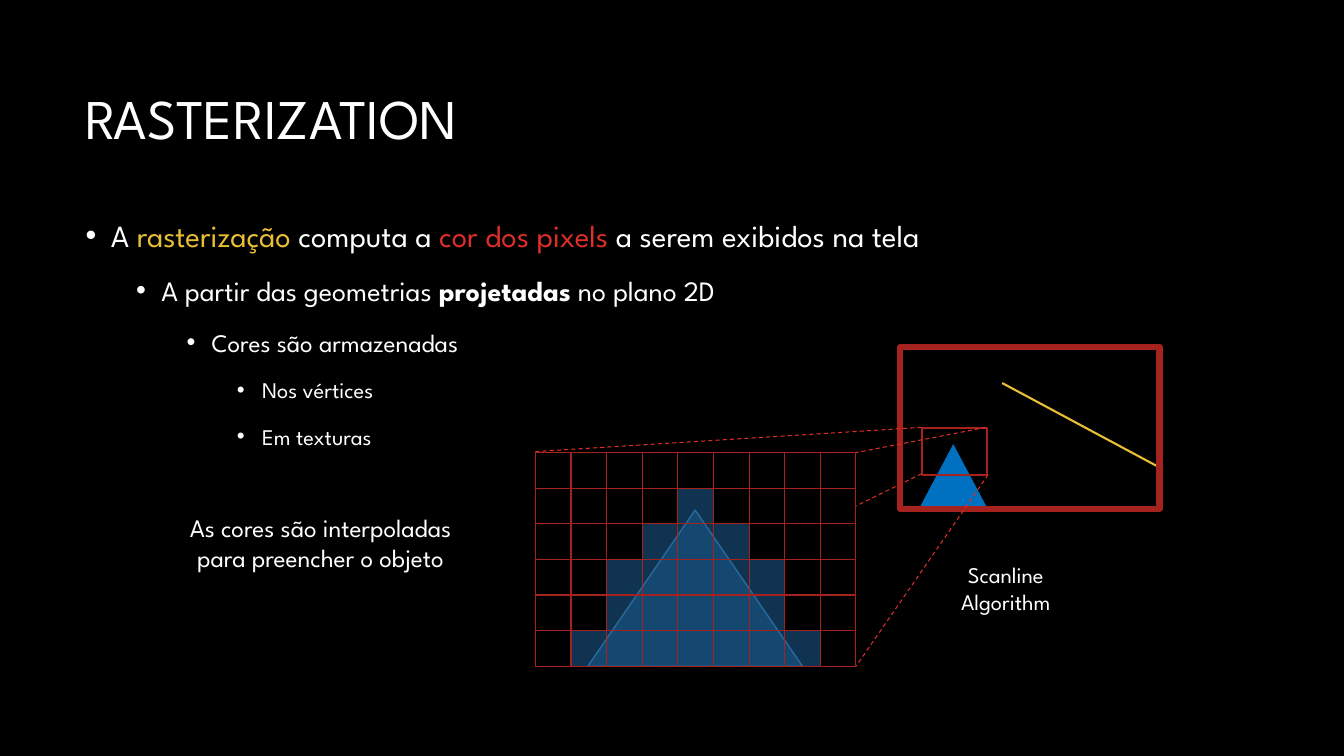
"""Build the slide on rasterization with its pixel grid and scene diagram."""
from lxml import etree
from pptx import Presentation
from pptx.dml.color import RGBColor
from pptx.enum.dml import MSO_LINE
from pptx.enum.shapes import MSO_CONNECTOR, MSO_SHAPE
from pptx.enum.text import MSO_ANCHOR, PP_ALIGN
from pptx.oxml.ns import qn
from pptx.util import Inches, Pt

RECTANGLE = MSO_SHAPE.RECTANGLE
TRIANGLE = MSO_SHAPE.ISOSCELES_TRIANGLE
STRAIGHT = MSO_CONNECTOR.STRAIGHT
DASH = MSO_LINE.DASH
MIDDLE = MSO_ANCHOR.MIDDLE
LEFT, CENTER = PP_ALIGN.LEFT, PP_ALIGN.CENTER
FONT = "League Spartan"
COLORS = {
    name: RGBColor.from_string(value)
    for name, value in {
        "black": "000000",
        "white": "FFFFFF",
        "yellow": "E9BF35",
        "red": "DF2E28",
        "dark red": "A5221E",
        "blue": "0070C0",
        "triangle": "2476B9",
        "triangle edge": "4A9BDC",
        "covered pixel": "184F7B",
    }.items()
}

presentation = Presentation()
presentation.slide_width = Inches(13.33)
presentation.slide_height = Inches(7.5)
slide = presentation.slides.add_slide(presentation.slide_layouts[1])
slide.background.fill.solid()
slide.background.fill.fore_color.rgb = COLORS["black"]


def add_figure(kind, box, fill, line, width, opacity=100):
    """Add a preset shape, filled unless fill is None."""
    shape = slide.shapes.add_shape(kind, *map(Inches, box))
    shape.shadow.inherit = False
    shape.line.color.rgb = COLORS[line]
    shape.line.width = Pt(width)
    if fill is None:
        shape.fill.background()
        return
    shape.fill.solid()
    shape.fill.fore_color.rgb = COLORS[fill]
    if opacity < 100:
        color = shape.fill._xPr.find(qn("a:solidFill"))[0]
        etree.SubElement(color, qn("a:alpha"), val=str(opacity * 1000))


def add_line(start, end, color, width, dash=None):
    """Add a straight line without a shadow."""
    connector = slide.shapes.add_connector(STRAIGHT, *map(Inches, start + end))
    connector.line.color.rgb = COLORS[color]
    connector.line.width = Pt(width)
    connector.line.dash_style = dash
    etree.SubElement(connector._element.spPr, qn("a:effectLst"))


title = slide.shapes.title
title.left, title.top = Inches(0.75), Inches(0.5)
title.width, title.height = Inches(11.83), Inches(1.41)
title.text_frame.text = "RASTERIZATION"
title.text_frame.vertical_anchor = MIDDLE
paragraph = title.text_frame.paragraphs[0]
paragraph.alignment = LEFT
paragraph.line_spacing = 0.9
paragraph.font.size = Pt(40)
paragraph.font.name = FONT
paragraph.font.color.rgb = COLORS["white"]

body = slide.placeholders[1]
body.left, body.top = Inches(0.75), Inches(2.06)
body.width, body.height = Inches(11.83), Inches(4.69)
bullets = [
    (0, 22, [("A ", "white", False), ("rasterização", "yellow", False),
             (" computa a ", "white", False), ("cor dos pixels ", "red", False),
             ("a serem exibidos na tela", "white", False)]),
    (1, 20, [("A partir das geometrias ", "white", False),
             ("projetadas", "white", True), (" no plano 2D", "white", False)]),
    (2, 18, [("Cores são armazenadas", "white", False)]),
    (3, 16, [("Nos vértices", "white", False)]),
    (3, 16, [("Em texturas", "white", False)]),
]
for index, (level, size, pieces) in enumerate(bullets):
    frame = body.text_frame
    paragraph = frame.add_paragraph() if index else frame.paragraphs[0]
    paragraph.level = level
    paragraph.line_spacing = 1.1
    paragraph.space_before = Pt(12 if index else 0)
    properties = paragraph._p.get_or_add_pPr()
    properties.set("marL", str(Inches(0.25 + 0.5 * level)))
    properties.set("indent", str(Inches(-0.25)))
    etree.SubElement(properties, qn("a:buFont"), typeface="Arial")
    etree.SubElement(properties, qn("a:buChar"), char="•")
    paragraph.font.size = Pt(size)
    for text, color, bold in pieces:
        run = paragraph.add_run()
        run.text = text
        run.font.name = FONT
        run.font.size = Pt(size)
        run.font.bold = bold
        run.font.color.rgb = COLORS[color]

add_line((9.14, 4.7), (8.49, 5.02), "red", 0.75, DASH)
add_figure(TRIANGLE, (5.83, 5.06, 2.13, 1.55), "triangle", "triangle edge", 1, 50)
add_figure(TRIANGLE, (8.93, 4.38, 1.05, 0.99), "blue", "black", 1.5)
add_line((9.94, 3.8), (12.12, 4.97), "yellow", 1.5)
for mask in [(11.49, 3.44, 1.01, 1.62), (8.8, 5.06, 1.34, 0.49)]:
    add_figure(RECTANGLE, mask, "black", "black", 1)
add_figure(RECTANGLE, (8.93, 3.44, 2.57, 1.61), None, "dark red", 4.5)
add_figure(RECTANGLE, (9.14, 4.25, 0.65, 0.46), None, "dark red", 1.5)
for zoom_start, zoom_end in [
    ((9.14, 4.24), (5.31, 4.48)),
    ((9.78, 4.24), (8.49, 4.49)),
    ((9.8, 4.71), (8.49, 6.61)),
]:
    add_line(zoom_start, zoom_end, "red", 0.75, DASH)

columns = 9
cell = 3.18 / columns
covered_reach = [-1, 0, 1, 2, 2, 3]
for row, reach in enumerate(covered_reach):
    for column in range(columns):
        covered = abs(column - columns // 2) <= reach
        fill, opacity = ("covered pixel", 65) if covered else ("black", 75)
        box = (5.31 + column * cell, 4.49 + row * cell, cell, cell)
        add_figure(RECTANGLE, box, fill, "dark red", 0.75, opacity)

captions = [
    ("As cores são interpoladas para preencher o objeto",
     (1.78, 5.03, 2.8, 1.01), 18, True),
    ("Scanline\nAlgorithm", (9.35, 5.52, 1.25, 0.64), 16, False),
]
for text, box, size, wrap in captions:
    caption = slide.shapes.add_textbox(*map(Inches, box))
    caption.text_frame.word_wrap = wrap
    caption.text_frame.text = text
    for paragraph in caption.text_frame.paragraphs:
        paragraph.alignment = CENTER
        paragraph.font.name = FONT
        paragraph.font.size = Pt(size)
        paragraph.font.color.rgb = COLORS["white"]

presentation.save("out.pptx")
